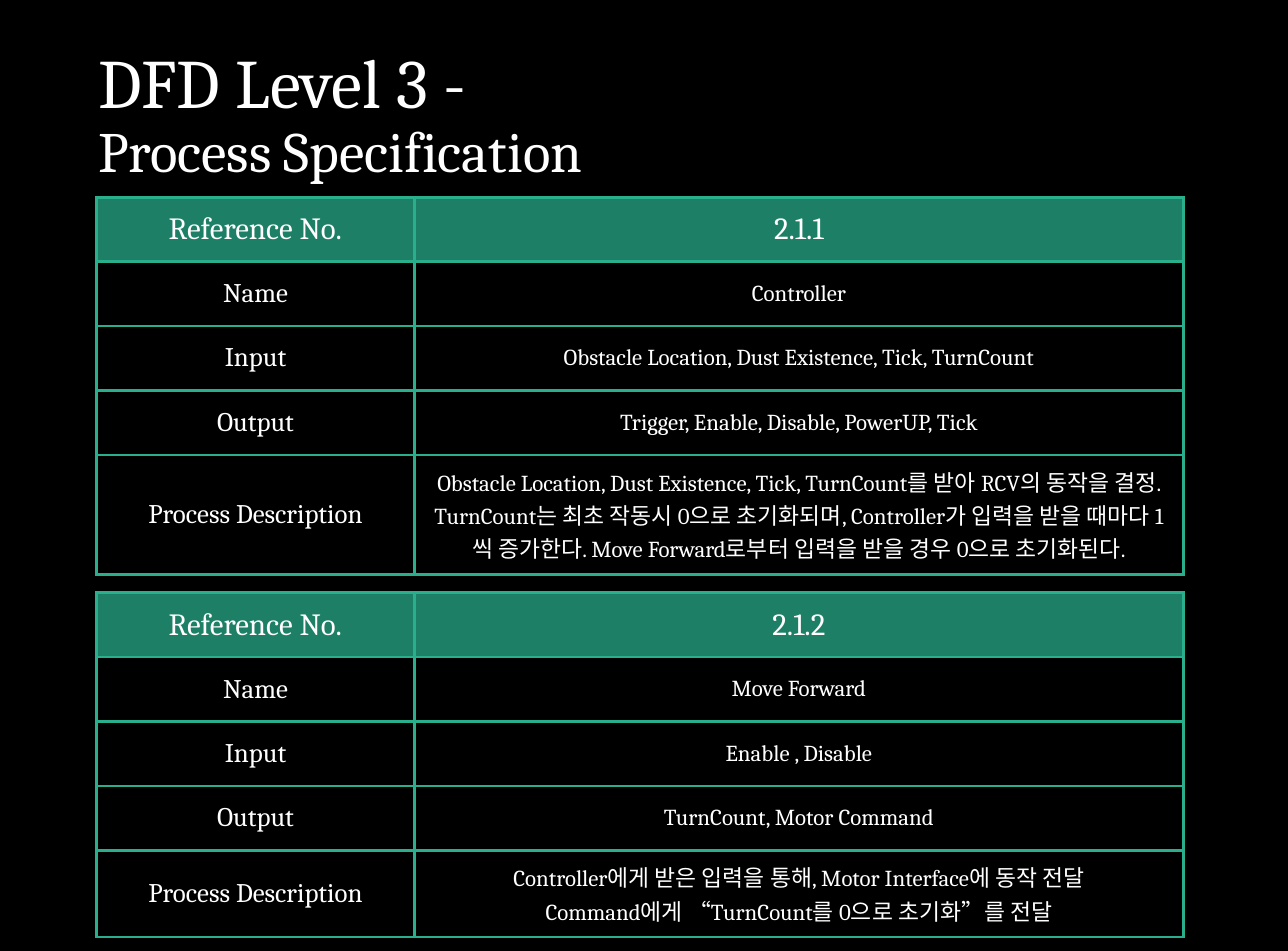
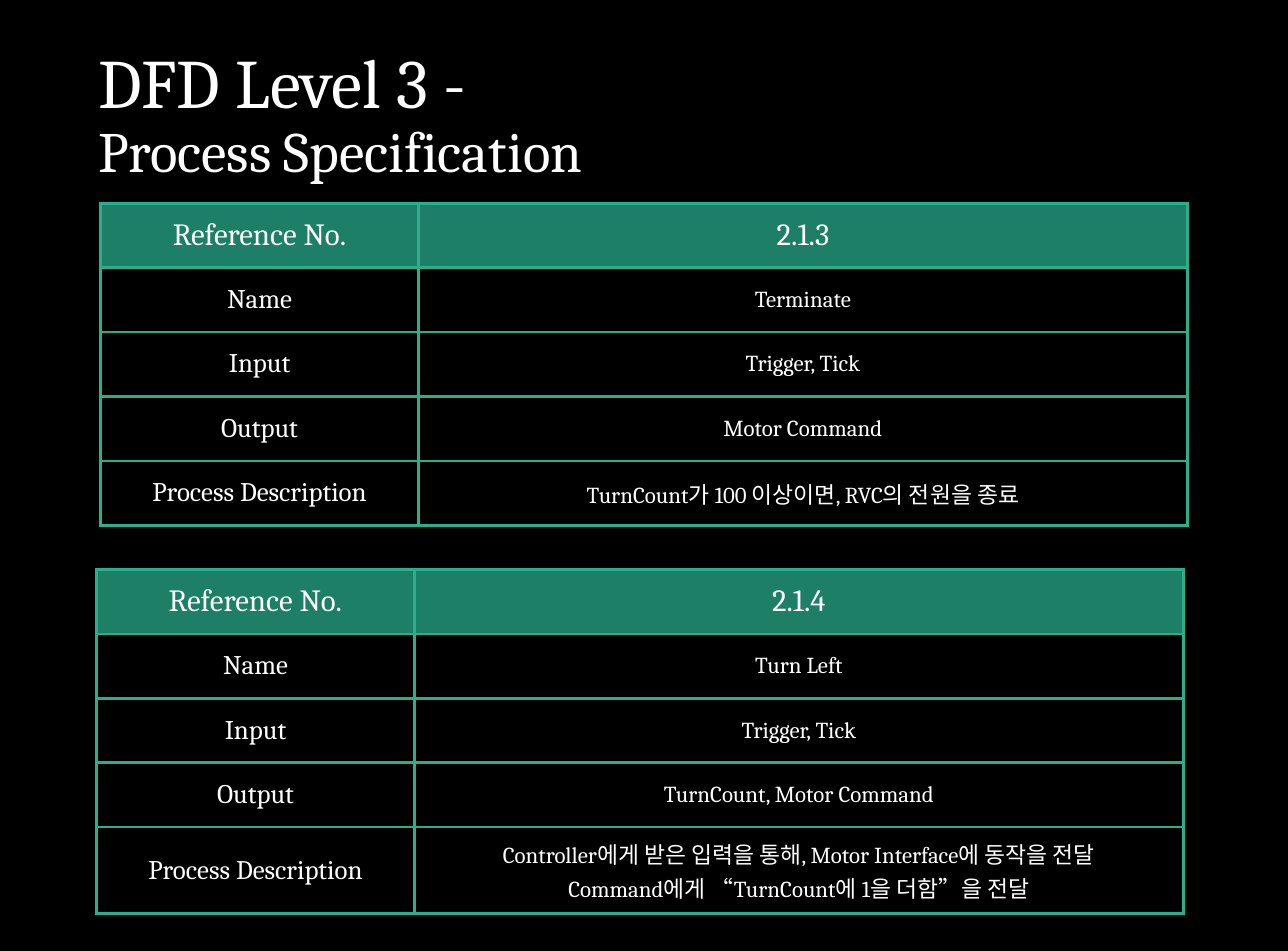
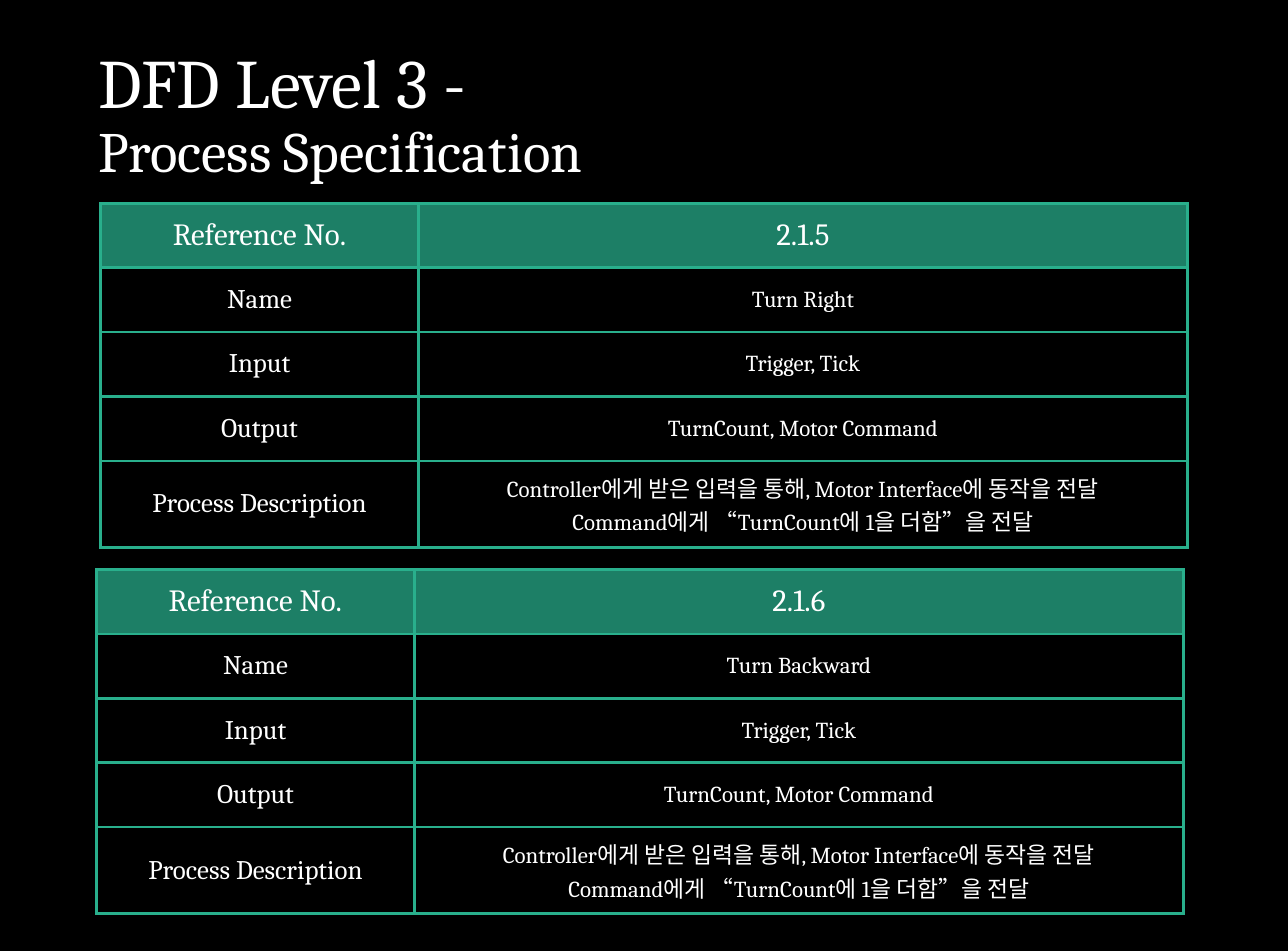
from dataclasses import dataclass

from lxml import etree
from pptx import Presentation
from pptx.dml.color import RGBColor
from pptx.enum.text import MSO_ANCHOR, MSO_AUTO_SIZE, PP_ALIGN
from pptx.oxml.ns import qn
from pptx.presentation import Presentation as Deck
from pptx.slide import Slide, SlideLayout
from pptx.table import _Cell as Cell
from pptx.text.text import _Paragraph as Para
from pptx.util import Emu, Pt

LEFT, CENTER = PP_ALIGN.LEFT, PP_ALIGN.CENTER
MIDDLE = MSO_ANCHOR.MIDDLE
NO_FIT = MSO_AUTO_SIZE.NONE

BLACK = RGBColor(0x00, 0x00, 0x00)
WHITE = RGBColor(0xFF, 0xFF, 0xFF)
GREEN = RGBColor(0x1D, 0x7F, 0x66)
MINT = RGBColor(0x29, 0xAF, 0x8C)

FONT = "Cambria"
SCALE = 9525
WIDE, HIGH = 1280, 945
COLS = (316, 764)
ROW = 64
INSET = 10
EDGE = Pt(2.25)
HEAD_SIZE, LABEL_SIZE, VALUE_SIZE = 23, 20, 17
TITLE = (("DFD Level 3 -", 51.7), ("Process Specification", 42.5))
LABELS = ("Reference No.", "Name", "Input", "Output", "Process Description")

TICK = "Trigger, Tick"
COUNT = "TurnCount, Motor Command"
TURN = (
    "Controller에게 받은 입력을 통해, Motor Interface에 동작을 전달\n"
    "Command에게 “TurnCount에 1을 더함”을 전달"
)


@dataclass(frozen=True)
class Spec:
    left: int
    top: int
    ref: str
    name: str
    entry: str
    output: str
    about: str

    def rows(self) -> list[tuple[str, str]]:
        values = (self.ref, self.name, self.entry, self.output, self.about)
        return list(zip(LABELS, values))


PAGES = (
    (
        Spec(96, 196, "2.1.1", "Controller",
             "Obstacle Location, Dust Existence, Tick, TurnCount",
             "Trigger, Enable, Disable, PowerUP, Tick",
             "Obstacle Location, Dust Existence, Tick, TurnCount를 받아 RCV의 "
             "동작을 결정. TurnCount는 최초 작동시 0으로 초기화되며, Controller가 "
             "입력을 받을 때마다 1씩 증가한다. Move Forward로부터 입력을 받을 경우 "
             "0으로 초기화된다."),
        Spec(96, 589, "2.1.2", "Move Forward", "Enable , Disable", COUNT,
             "Controller에게 받은 입력을 통해, Motor Interface에 동작 전달\n"
             "Command에게 “TurnCount를 0으로 초기화”를 전달"),
    ),
    (
        Spec(100, 202, "2.1.3", "Terminate", TICK, "Motor Command",
             "TurnCount가 100 이상이면, RVC의 전원을 종료"),
        Spec(96, 566, "2.1.4", "Turn Left", TICK, COUNT, TURN),
    ),
    (
        Spec(100, 202, "2.1.5", "Turn Right", TICK, COUNT, TURN),
        Spec(96, 566, "2.1.6", "Turn Backward", TICK, COUNT, TURN),
    ),
)


def px(size: int) -> Emu:
    return Emu(size * SCALE)


def style(para: Para, size: float, align: PP_ALIGN) -> None:
    para.alignment = align
    para.font.name = FONT
    para.font.size = Pt(size)
    para.font.bold = False
    para.font.color.rgb = WHITE


def add_edges(cell: Cell) -> None:
    props = cell._tc.get_or_add_tcPr()
    for side in ("lnL", "lnR", "lnT", "lnB"):
        line = etree.SubElement(props, qn(f"a:{side}"), w=str(int(EDGE)))
        fill = etree.SubElement(line, qn("a:solidFill"))
        etree.SubElement(fill, qn("a:srgbClr"), val=str(MINT))


def fill_cell(cell: Cell, text: str, size: int, head: bool) -> None:
    add_edges(cell)
    if head:
        cell.fill.solid()
        cell.fill.fore_color.rgb = GREEN
    else:
        cell.fill.background()
    cell.vertical_anchor = MIDDLE
    cell.margin_left = cell.margin_right = px(INSET)
    cell.margin_top = cell.margin_bottom = px(INSET)
    cell.text = text
    for para in cell.text_frame.paragraphs:
        style(para, size, CENTER)


def add_spec(slide: Slide, spec: Spec) -> None:
    rows = spec.rows()
    frame = slide.shapes.add_table(
        len(rows), len(COLS), px(spec.left), px(spec.top),
        px(sum(COLS)), px(ROW * len(rows)))
    table = frame.table
    table.first_row = table.horz_banding = False
    for col, width in zip(table.columns, COLS):
        col.width = px(width)
    for i, (label, value) in enumerate(rows):
        table.rows[i].height = px(ROW)
        head = i == 0
        sizes = (HEAD_SIZE, HEAD_SIZE) if head else (LABEL_SIZE, VALUE_SIZE)
        for j, (text, size) in enumerate(zip((label, value), sizes)):
            fill_cell(table.cell(i, j), text, size, head)


def set_theme(deck: Deck) -> SlideLayout:
    deck.slide_width, deck.slide_height = px(WIDE), px(HIGH)
    back = deck.slide_master.background.fill
    back.solid()
    back.fore_color.rgb = BLACK
    layout = deck.slide_layouts.get_by_name("Title Only")
    title = layout.placeholders[0]
    title.left, title.top = px(88), px(25)
    title.width, title.height = px(1104), px(182)
    title.text_frame.auto_size = NO_FIT
    title.text_frame.vertical_anchor = MIDDLE
    return layout


def add_title(slide: Slide) -> None:
    frame = slide.shapes.title.text_frame
    frame.text = "\n".join(text for text, _ in TITLE)
    for para, (_, size) in zip(frame.paragraphs, TITLE):
        para.line_spacing = 0.9
        style(para, size, LEFT)


def main() -> None:
    deck = Presentation()
    layout = set_theme(deck)
    for specs in PAGES:
        slide = deck.slides.add_slide(layout)
        add_title(slide)
        for spec in specs:
            add_spec(slide, spec)
    deck.save("out.pptx")


if __name__ == "__main__":
    main()
